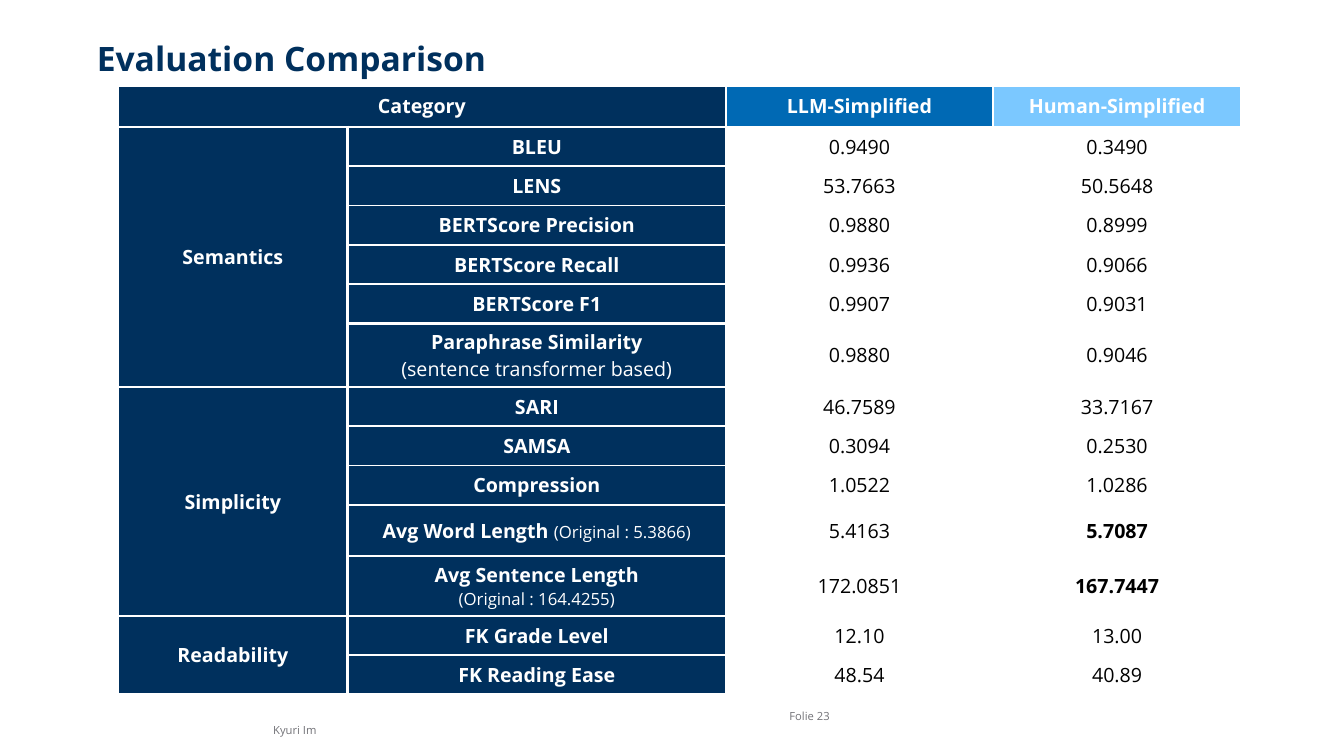
from pptx import Presentation
from pptx.dml.color import RGBColor
from pptx.enum.text import MSO_ANCHOR as ANCHOR, MSO_AUTO_SIZE as AUTO, PP_ALIGN as ALIGN
from pptx.oxml.xmlchemy import OxmlElement
from pptx.util import Inches, Pt

NAVY = RGBColor(0x00, 0x30, 0x5D)
BLUE = RGBColor(0x00, 0x69, 0xB4)
SKY = RGBColor(0x7B, 0xC8, 0xFF)
WHITE = RGBColor(0xFF, 0xFF, 0xFF)
BLACK = RGBColor(0x00, 0x00, 0x00)
GRAY = RGBColor(0x72, 0x72, 0x77)
THICK, THIN = 2.25, 1.5


def add_text(p, text, size=14, color=WHITE, bold=True, align=ALIGN.CENTER):
    p.alignment = align
    r = p.add_run()
    r.text = text
    r.font.name = "Open Sans"
    r.font.size = Pt(size)
    r.font.bold = bold
    r.font.color.rgb = color


def style_cell(cell, fill, top=THICK, bottom=THICK):
    """Fill a cell and give it white borders."""
    tcPr = cell._tc.get_or_add_tcPr()
    for side, width in (("L", THICK), ("R", THICK), ("T", top), ("B", bottom)):
        ln = OxmlElement(f"a:ln{side}")
        ln.set("w", str(Pt(width)))
        solid = OxmlElement("a:solidFill")
        clr = OxmlElement("a:srgbClr")
        clr.set("val", str(WHITE))
        solid.append(clr)
        ln.append(solid)
        tcPr.append(ln)
    cell.fill.solid()
    cell.fill.fore_color.rgb = fill


prs = Presentation()
prs.slide_width, prs.slide_height = Inches(13.33), Inches(7.5)
slide = prs.slides.add_slide(prs.slide_layouts[5])

# Title
title = slide.shapes.title
title.left, title.top = Inches(0.96), Inches(0.38)
title.width, title.height = Inches(11.57), Inches(0.75)
tf = title.text_frame
tf.margin_left = tf.margin_right = tf.margin_top = tf.margin_bottom = 0
tf.vertical_anchor = ANCHOR.TOP
tf.auto_size = AUTO.NONE
add_text(tf.paragraphs[0], "Evaluation Comparison", size=24, color=NAVY, align=ALIGN.LEFT)

# Metrics: group -> (name, note, note size, note on its own line, first value, second value)
groups = {
    "Semantics": [
        ("BLEU", "", 14, False, "0.9490", "0.3490"),
        ("LENS", "", 14, False, "53.7663", "50.5648"),
        ("BERTScore Precision", "", 14, False, "0.9880", "0.8999"),
        ("BERTScore Recall", "", 14, False, "0.9936", "0.9066"),
        ("BERTScore F1", "", 14, False, "0.9907", "0.9031"),
        ("Paraphrase Similarity", "(sentence transformer based)", 14, True, "0.9880", "0.9046"),
    ],
    "Simplicity": [
        ("SARI", "", 14, False, "46.7589", "33.7167"),
        ("SAMSA", "", 14, False, "0.3094", "0.2530"),
        ("Compression", "", 14, False, "1.0522", "1.0286"),
        ("Avg Word Length ", "(Original : 5.3866)", 12, False, "5.4163", "5.7087"),
        ("Avg Sentence Length", "(Original : 164.4255)", 12, True, "172.0851", "167.7447"),
    ],
    "Readability": [
        ("FK Grade Level", "", 14, False, "12.10", "13.00"),
        ("FK Reading Ease", "", 14, False, "48.54", "40.89"),
    ],
}
bold_values = {"5.7087", "167.7447"}
thick_tops = {1, 6, 7, 12, 14}  # rows that start a block, and the table's end
heights = {0: 0.41, 6: 0.62, 10: 0.51, 11: 0.59}

# Table grid
table = slide.shapes.add_table(14, 4, Inches(1.17), Inches(0.85), Inches(11.14), Inches(6.07)).table
table.horz_banding = False
for col, width in zip(table.columns, (2.28, 3.75, 2.65, 2.46)):
    col.width = Inches(width)
for i, row in enumerate(table.rows):
    row.height = Inches(heights.get(i, 0.39))
    for cell in row.cells:
        cell.vertical_anchor = ANCHOR.MIDDLE

# Header row
for c, fill in enumerate((NAVY, NAVY, BLUE, SKY)):
    style_cell(table.cell(0, c), fill)
table.cell(0, 0).merge(table.cell(0, 1))
for c, text in ((0, "Category"), (2, "LLM-Simplified"), (3, "Human-Simplified")):
    add_text(table.cell(0, c).text_frame.paragraphs[0], text)

# Metric rows
i = 1
for group, metrics in groups.items():
    first = table.cell(i, 0)
    add_text(first.text_frame.paragraphs[0], group)
    first.merge(table.cell(i + len(metrics) - 1, 0))
    for name, note, note_size, own_line, *values in metrics:
        style_cell(table.cell(i, 0), NAVY)
        label = table.cell(i, 1)
        style_cell(label, NAVY, top=THICK if i in thick_tops else THIN,
                   bottom=THICK if i + 1 in thick_tops else THIN)
        p = label.text_frame.paragraphs[0]
        add_text(p, name)
        if note:
            p = label.text_frame.add_paragraph() if own_line else p
            add_text(p, note, size=note_size, bold=False)
        for c, value in enumerate(values, 2):
            cell = table.cell(i, c)
            cell.fill.background()
            add_text(cell.text_frame.paragraphs[0], value, color=BLACK, bold=value in bold_values)
        i += 1

# Footer: author and slide number
for text, left, top, width, height, anchor in (
    ("Kyuri Im", 2.71, 7.18, 4.9, 0.13, ANCHOR.BOTTOM),
    ("Folie 23", 7.83, 6.9, 0.77, 0.4, ANCHOR.MIDDLE),
):
    box = slide.shapes.add_textbox(Inches(left), Inches(top), Inches(width), Inches(height))
    tf = box.text_frame
    tf.word_wrap = True
    tf.margin_left = tf.margin_right = tf.margin_top = tf.margin_bottom = 0
    tf.vertical_anchor = anchor
    add_text(tf.paragraphs[0], text, size=8, color=GRAY, bold=False, align=ALIGN.LEFT)

prs.save("out.pptx")
